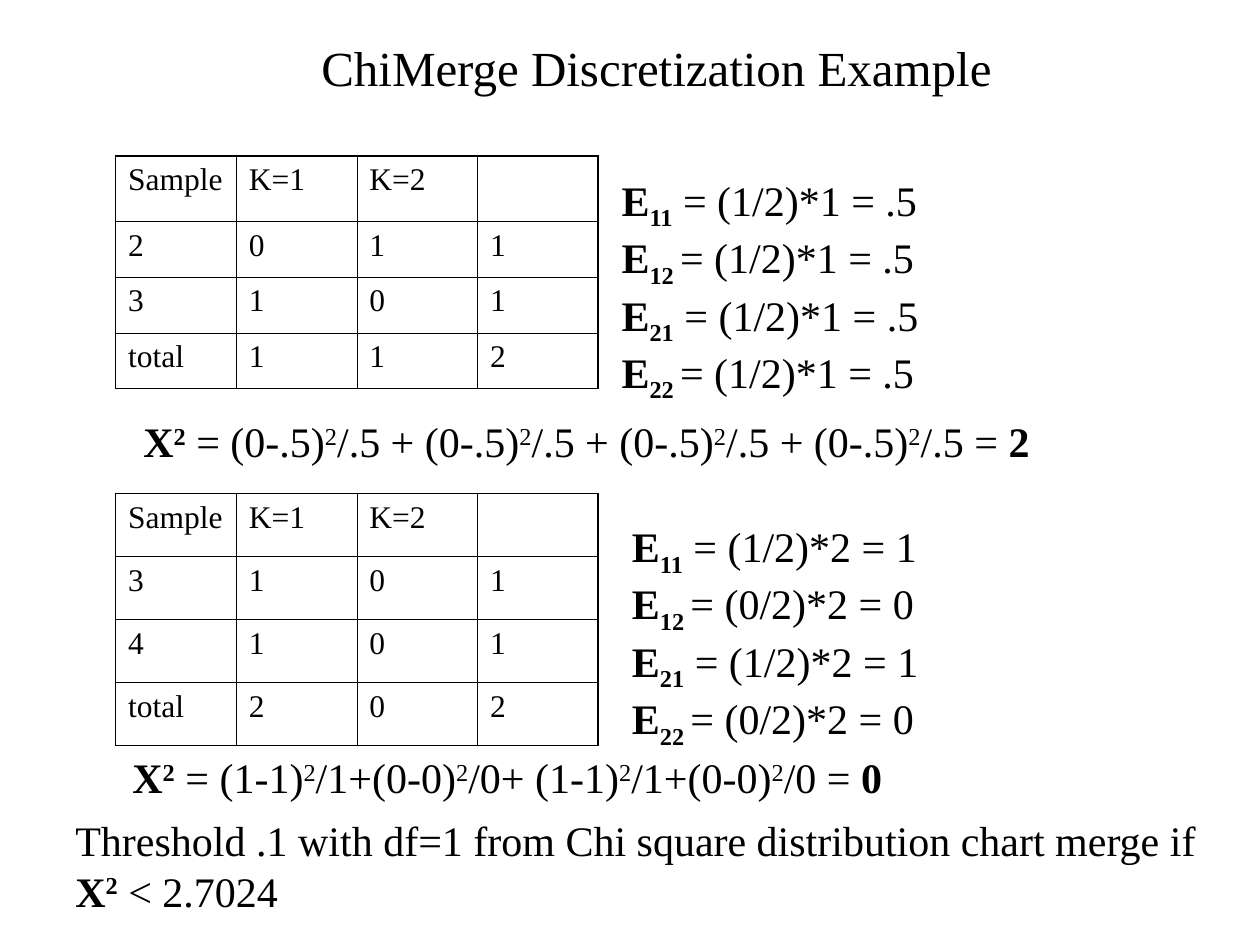
"""Build the ChiMerge discretization example slide."""
from dataclasses import dataclass
from typing import NamedTuple

from lxml.etree import SubElement
from pptx import Presentation
from pptx.dml.color import RGBColor
from pptx.enum.text import MSO_ANCHOR, MSO_AUTO_SIZE, PP_ALIGN
from pptx.oxml.ns import qn
from pptx.util import Cm, Pt

COLORS = {"ink": "000000"}
FONT_NAME = "Times New Roman"
OUTER_BORDER, INNER_BORDER = Pt(1.08), Pt(0.45)
SUBSCRIPT, SUPERSCRIPT = -25000, 30000


class Piece(NamedTuple):
    text: str
    bold: bool = False
    baseline: int = 0


@dataclass
class TextBlock:
    left: float
    top: float
    width: float
    height: float
    lines: list[list[Piece]]


@dataclass
class CountTable:
    top: float
    row_heights: list[float]
    rows: list[list[str]]


def format_run(run, size: float, bold: bool = False, baseline: int = 0) -> None:
    run.font.name = FONT_NAME
    run.font.size = Pt(size)
    run.font.bold = bold
    run.font.color.rgb = RGBColor.from_string(COLORS["ink"])
    if baseline:
        run._r.get_or_add_rPr().set("baseline", str(baseline))


def set_border(cell, side: str, width: int) -> None:
    line = SubElement(cell._tc.get_or_add_tcPr(), qn(f"a:ln{side}"), w=str(int(width)))
    fill = SubElement(line, qn("a:solidFill"))
    SubElement(fill, qn("a:srgbClr"), val=COLORS["ink"])


def add_title(slide, text: str) -> None:
    title = slide.shapes.title
    title.left, title.top, title.width, title.height = Cm(3.81), Cm(0.62), Cm(18.85), Cm(1.45)
    frame = title.text_frame
    frame.text = text
    frame.vertical_anchor = MSO_ANCHOR.TOP
    frame.auto_size = MSO_AUTO_SIZE.SHAPE_TO_FIT_TEXT
    paragraph = frame.paragraphs[0]
    paragraph.alignment = PP_ALIGN.CENTER
    format_run(paragraph.runs[0], 28)


def add_count_table(slide, data: CountTable) -> None:
    row_count, column_count = len(data.rows), len(data.rows[0])
    frame = slide.shapes.add_table(row_count, column_count, Cm(2.33), Cm(data.top),
                                   Cm(9.73), Cm(sum(data.row_heights)))
    table = frame.table
    table.first_row = table.horz_banding = False
    for row, height in zip(table.rows, data.row_heights):
        row.height = Cm(height)
    for row_index, values in enumerate(data.rows):
        for column_index, value in enumerate(values):
            cell = table.cell(row_index, column_index)
            edges = {
                "L": column_index == 0,
                "R": column_index == column_count - 1,
                "T": row_index == 0,
                "B": row_index == row_count - 1,
            }
            for side, is_outer in edges.items():
                set_border(cell, side, OUTER_BORDER if is_outer else INNER_BORDER)
            cell.fill.background()
            cell.text_frame.text = value
            paragraph = cell.text_frame.paragraphs[0]
            paragraph.space_before = Pt(4.5)
            for run in paragraph.runs:
                format_run(run, 18)


def add_text_block(slide, block: TextBlock) -> None:
    box = slide.shapes.add_textbox(Cm(block.left), Cm(block.top), Cm(block.width), Cm(block.height))
    frame = box.text_frame
    frame.word_wrap = True
    frame.auto_size = MSO_AUTO_SIZE.SHAPE_TO_FIT_TEXT
    for index, pieces in enumerate(block.lines):
        paragraph = frame.add_paragraph() if index else frame.paragraphs[0]
        for piece in pieces:
            run = paragraph.add_run()
            run.text = piece.text
            format_run(run, 24, piece.bold, piece.baseline)


def expected_lines(formulas: list[str]) -> list[list[Piece]]:
    return [
        [Piece("E", True), Piece(label, True, SUBSCRIPT), Piece(formula)]
        for label, formula in zip(("11", "12 ", "21", "22 "), formulas)
    ]


def chi_square(parts: list[str], result: str = "") -> list[Piece]:
    pieces = [Piece("X", True), Piece("2", True, SUPERSCRIPT), Piece(parts[0])]
    for part in parts[1:]:
        pieces += [Piece("2", False, SUPERSCRIPT), Piece(part)]
    return pieces + [Piece(result, True)] if result else pieces


COUNT_TABLES = [
    CountTable(9.95, [1.27] * 4, [
        ["Sample", "K=1", "K=2", ""],
        ["3", "1", "0", "1"],
        ["4", "1", "0", "1"],
        ["total", "2", "0", "2"],
    ]),
    CountTable(3.15, [1.32, 1.12, 1.12, 1.12], [
        ["Sample", "K=1", "K=2", ""],
        ["2", "0", "1", "1"],
        ["3", "1", "0", "1"],
        ["total", "1", "1", "2"],
    ]),
]

TEXT_BLOCKS = [
    TextBlock(12.28, 3.39, 9.35, 4.88, expected_lines(
        [" = (1/2)*1 = .5", "= (1/2)*1 = .5"] * 2)),
    TextBlock(12.49, 10.37, 9.35, 4.88, expected_lines(
        [" = (1/2)*2 = 1", "= (0/2)*2 = 0"] * 2)),
    TextBlock(2.64, 8.26, 18.8, 1.27, [chi_square(
        [" = (0-.5)"] + ["/.5 + (0-.5)"] * 3 + ["/.5 = "], "2")]),
    TextBlock(2.42, 15.03, 16, 1.27, [chi_square(
        [" = (1-1)", "/1+(0-0)", "/0+ (1-1)", "/1+(0-0)", "/0 = "], "0")]),
    TextBlock(1.27, 16.3, 23.28, 2.29, [
        [Piece("Threshold .1 with df=1 from Chi square distribution chart merge if ")]
        + chi_square([" < 2.7024"])]),
]


def main() -> None:
    presentation = Presentation()
    presentation.slide_width, presentation.slide_height = Cm(25.4), Cm(19.05)
    slide = presentation.slides.add_slide(presentation.slide_layouts[5])
    add_title(slide, "ChiMerge Discretization Example")
    for count_table in COUNT_TABLES:
        add_count_table(slide, count_table)
    for text_block in TEXT_BLOCKS:
        add_text_block(slide, text_block)
    presentation.save("out.pptx")


main()
